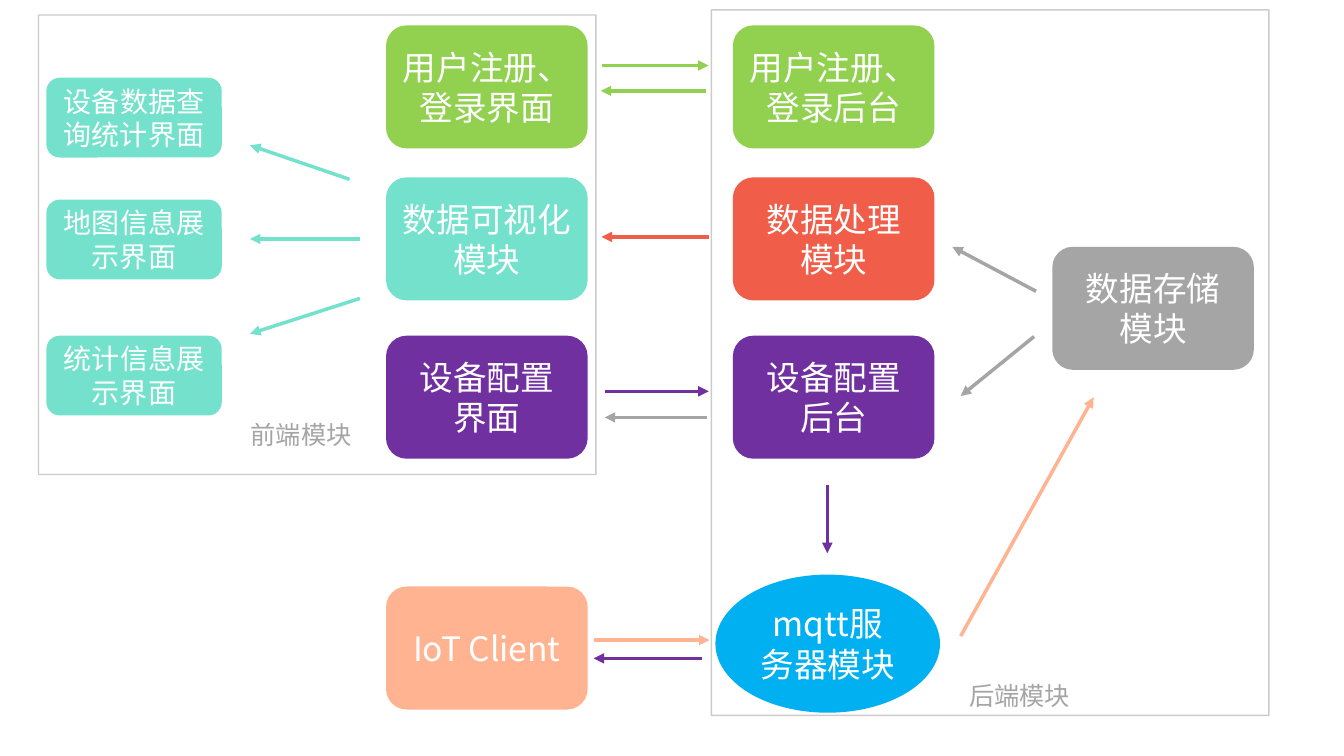
from lxml import etree
from pptx import Presentation
from pptx.dml.color import RGBColor
from pptx.enum.shapes import MSO_CONNECTOR, MSO_SHAPE
from pptx.enum.text import MSO_ANCHOR, MSO_AUTO_SIZE, PP_ALIGN
from pptx.oxml.ns import qn
from pptx.util import Cm, Pt

ROUNDED = MSO_SHAPE.ROUNDED_RECTANGLE
RECTANGLE = MSO_SHAPE.RECTANGLE
OVAL = MSO_SHAPE.OVAL
STRAIGHT = MSO_CONNECTOR.STRAIGHT
MIDDLE = MSO_ANCHOR.MIDDLE
CENTER = PP_ALIGN.CENTER
LEFT = PP_ALIGN.LEFT
FIT_SHAPE = MSO_AUTO_SIZE.SHAPE_TO_FIT_TEXT

FONT = "Noto Sans CJK SC"
WHITE, GRAY, TEAL, GREEN = "FFFFFF", "A5A5A5", "74E1CC", "92D050"
PURPLE, RED, PEACH, BLUE = "7030A0", "F05D49", "FFB391", "00B0F0"

SCREENS, FRONT, BACK, STORAGE = 1.17, 9.73, 18.47, 26.52
LOGIN, DATA, CONFIG, CLIENT = 0.64, 4.47, 8.46, 14.78
MODULE_SIZE = (5.08, 3.1)
SCREEN_SIZE = (4.42, 2.01)

MODULES = [
    (FRONT, DATA, TEAL, "数据可视化模块"),
    (FRONT, LOGIN, GREEN, "用户注册、登录界面"),
    (FRONT, CONFIG, PURPLE, "设备配置\n界面"),
    (FRONT, CLIENT, PEACH, "IoT Client"),
    (BACK, DATA, RED, "数据处理\n模块"),
    (BACK, LOGIN, GREEN, "用户注册、登录后台"),
    (BACK, CONFIG, PURPLE, "设备配置\n后台"),
    (STORAGE, 6.22, GRAY, "数据存储\n模块"),
]
SCREEN_BOXES = [
    (1.96, "设备数据查询统计界面"),
    (5.03, "地图信息展示界面"),
    (CONFIG, "统计信息展示界面"),
]
ARROWS = [
    (TEAL, 8.81, 4.52, 6.3, 3.66),
    (TEAL, 9.07, 6.02, 6.3, 6.02),
    (TEAL, 9.07, 7.52, 6.3, 8.41),
    (GREEN, 15.16, 1.65, 17.86, 1.65),
    (GREEN, 17.78, 2.29, 15.14, 2.29),
    (RED, 17.86, 5.97, 15.16, 5.97),
    (PURPLE, 15.24, 9.86, 17.86, 9.86),
    (GRAY, 17.81, 10.52, 15.24, 10.52),
    (PEACH, 14.96, 16.13, 17.88, 16.13),
    (PURPLE, 17.68, 16.59, 14.96, 16.59),
    (PURPLE, 20.85, 12.22, 20.85, 13.94),
    (PEACH, 24.21, 16.03, 27.56, 10.01),
    (GRAY, 26.11, 7.34, 24, 6.22),
    (GRAY, 26.06, 8.48, 24.21, 9.98),
]
LABELS = [
    (6.07, 10.44, "前端模块"),
    (24.18, 17.02, "后端模块"),
]
FRAMES = [
    (0.97, 0.38, 14.05, 11.58),
    (17.93, 0.25, 14.05, 17.78),
]


def set_color(color_format, value):
    color_format.rgb = RGBColor.from_string(value)


def apply_format(target, values):
    for name, value in values.items():
        setattr(target, name, value)


def write_text(shape, text, size, color, alignment, frame_format):
    text_frame = shape.text_frame
    apply_format(text_frame, frame_format)
    text_frame.text = text
    for paragraph in text_frame.paragraphs:
        paragraph.alignment = alignment
        for run in paragraph.runs:
            apply_format(run.font, {"name": FONT, "size": Pt(size)})
            set_color(run.font.color, color)
            east_asian = etree.SubElement(run.font._element, qn("a:ea"))
            east_asian.set("typeface", FONT)


def add_box(slide, kind, bounds, fill, text, size):
    shape = slide.shapes.add_shape(kind, *map(Cm, bounds))
    shape.shadow.inherit = False
    shape.fill.solid()
    set_color(shape.fill.fore_color, fill)
    shape.line.fill.background()
    write_text(shape, text, size, WHITE, CENTER,
               {"word_wrap": True, "vertical_anchor": MIDDLE})


def add_arrow(slide, color, *ends):
    connector = slide.shapes.add_connector(STRAIGHT, *map(Cm, ends))
    connector.line.width = Pt(2.5)
    set_color(connector.line.color, color)
    line = connector.line._get_or_add_ln()
    etree.SubElement(line, qn("a:tailEnd")).set("type", "triangle")
    etree.SubElement(connector._element.spPr, qn("a:effectLst"))


def add_label(slide, left, top, text):
    label = slide.shapes.add_textbox(*map(Cm, (left, top, 3.1, 1.02)))
    write_text(label, text, 18, GRAY, LEFT,
               {"word_wrap": False, "auto_size": FIT_SHAPE})


def add_frame(slide, *bounds):
    frame = slide.shapes.add_shape(RECTANGLE, *map(Cm, bounds))
    frame.shadow.inherit = False
    frame.fill.background()
    frame.line.width = Pt(1)
    set_color(frame.line.color, GRAY)
    color = frame.line._get_or_add_ln().find(".//" + qn("a:srgbClr"))
    etree.SubElement(color, qn("a:alpha")).set("val", "57000")


def main():
    presentation = Presentation()
    apply_format(presentation, {"slide_width": Cm(33.87), "slide_height": Cm(19.05)})
    slide = presentation.slides.add_slide(presentation.slide_layouts[6])

    add_box(slide, OVAL, (18.03, 14.48, 5.66, 3.48), BLUE, "mqtt服务器模块", 24)
    for left, top, fill, text in MODULES:
        add_box(slide, ROUNDED, (left, top, *MODULE_SIZE), fill, text, 24)
    for top, text in SCREEN_BOXES:
        add_box(slide, ROUNDED, (SCREENS, top, *SCREEN_SIZE), TEAL, text, 20)
    for arrow in ARROWS:
        add_arrow(slide, *arrow)
    for label in LABELS:
        add_label(slide, *label)
    for frame in FRAMES:
        add_frame(slide, *frame)

    presentation.save("out.pptx")


main()
